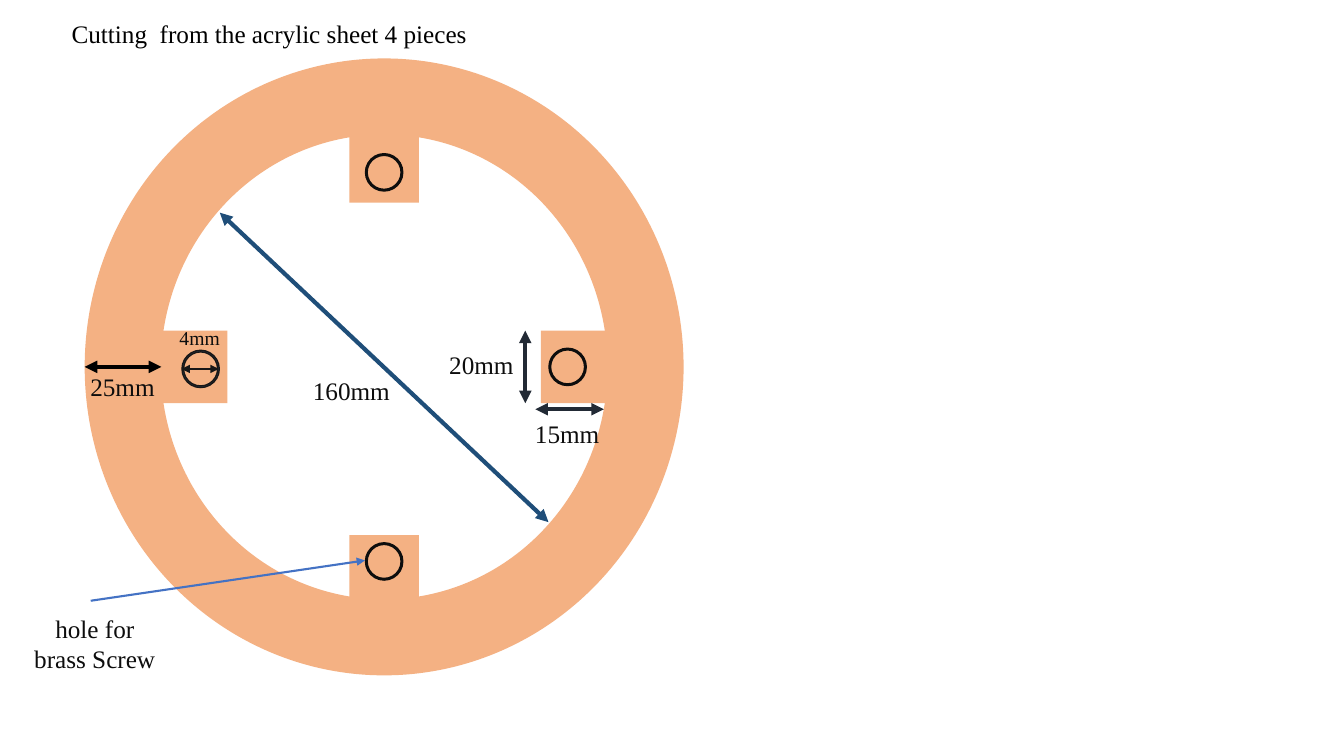
from dataclasses import dataclass

from lxml.etree import SubElement
from pptx import Presentation
from pptx.dml.color import RGBColor
from pptx.enum.shapes import MSO_CONNECTOR, MSO_SHAPE
from pptx.enum.text import MSO_ANCHOR, MSO_AUTO_SIZE, PP_ALIGN
from pptx.oxml.ns import qn
from pptx.util import Inches, Pt


@dataclass(frozen=True)
class Theme:
    """Colours, font and type sizes of the slide."""
    font: str = "Times New Roman"
    size: int = 18
    small: int = 14
    sheet: str = "F4B183"
    text: str = "0D0D0D"
    black: str = "000000"
    hole: str = "0D0D0D"
    rim: str = "181717"
    rim_fill: str = "333F50"
    diameter: str = "1F4E79"
    tab_size: str = "222A35"
    leader: str = "4472C4"


T = Theme()

TITLE = "Cutting  from the acrylic sheet 4 pieces"
TITLE_BOX = (0.61, 0.13, 4.26, 0.4)

# Ring and its parts; offsets are measured from the ring centre
CENTRE = (3.81, 3.64)
RING_SIZE, RING_BAND = (5.94, 6.12), 0.127
TAB_SIZE = (0.69, 0.72)
TAB_OFFSETS = [(0, -1.99), (0, 2.03), (-1.9, 0), (1.9, 0)]
HOLE_SIZE, HOLE_BAND = (0.37, 0.37), 0.044
HOLES = [  # offset, fill, outline
    ((-1.82, 0.02), T.rim_fill, T.rim),
    ((1.82, 0), T.hole, T.hole),
    ((0, 1.93), T.hole, T.hole),
    ((0, -1.93), T.hole, T.hole),
]

BOTH, END = ("headEnd", "tailEnd"), ("tailEnd",)
ARROWS = [  # start, end, colour, width, arrowheads
    ((0.84, 3.64), (1.6, 3.64), T.black, 3, BOTH),
    ((2.18, 2.11), (5.44, 5.18), T.diameter, 3, BOTH),
    ((5.31, 4.06), (5.99, 4.06), T.tab_size, 3, BOTH),
    ((5.21, 4), (5.21, 3.28), T.tab_size, 3, BOTH),
    ((1.8, 3.66), (2.17, 3.66), T.rim, 1.5, BOTH),
    ((0.9, 5.96), (3.62, 5.56), T.leader, 1.5, END),
]

LABELS = [  # text, box, type size
    ("25mm", (0.58, 3.66, 1.27, 0.34), T.size),
    ("15mm", (4.99, 4.13, 1.27, 0.34), T.size),
    ("160mm", (2.93, 3.47, 1.11, 0.8), T.size),
    ("4mm", (1.62, 3.19, 0.72, 0.31), T.small),
    ("20mm", (4.35, 3.42, 0.85, 0.4), T.size),
    ("hole for brass Screw", (0.23, 6, 1.42, 0.76), T.size),
]


def rgb(colour):
    """Turn a hex string into a colour."""
    return RGBColor.from_string(colour)


def add_part(s, kind, offset, size, fill, outline=None, band=None):
    """Add a shape centred at an offset from the ring centre."""
    left, top = (c + o - d / 2 for c, o, d in zip(CENTRE, offset, size))
    sp = s.shapes.add_shape(kind, *map(Inches, (left, top, *size)))
    sp.shadow.inherit = False
    sp.fill.solid()
    sp.fill.fore_color.rgb = rgb(fill)
    if band:
        sp.adjustments[0] = band
    if outline:
        sp.line.color.rgb = rgb(outline)
        sp.line.width = Pt(1)
    else:
        sp.line.fill.background()


def add_arrow(s, start, end, colour, width, heads):
    """Add a straight line with triangle heads."""
    cx = s.shapes.add_connector(MSO_CONNECTOR.STRAIGHT, *map(Inches, start + end))
    cx.line.color.rgb = rgb(colour)
    cx.line.width = Pt(width)
    for head in heads:
        SubElement(cx.line._get_or_add_ln(), qn(f"a:{head}"), type="triangle")
    SubElement(cx._element.spPr, qn("a:effectLst"))


def set_text(sp, text, size, colour, align, wrap=True):
    """Fill a text shape with one formatted paragraph."""
    tf = sp.text_frame
    tf.text = text
    tf.word_wrap = wrap
    tf.auto_size = MSO_AUTO_SIZE.NONE
    tf.vertical_anchor = MSO_ANCHOR.MIDDLE
    p = tf.paragraphs[0]
    p.alignment = align
    p.font.name = T.font
    p.font.size = Pt(size)
    p.font.color.rgb = rgb(colour)


def add_title(s):
    """Place and format the title placeholder."""
    sp = s.shapes.title
    sp.left, sp.top, sp.width, sp.height = map(Inches, TITLE_BOX)
    set_text(sp, TITLE, T.size, T.black, PP_ALIGN.LEFT, wrap=False)


def main():
    """Build and save the slide."""
    prs = Presentation()
    prs.slide_width, prs.slide_height = Inches(13.33), Inches(7.5)
    s = prs.slides.add_slide(prs.slide_layouts[5])
    add_title(s)
    add_part(s, MSO_SHAPE.DONUT, (0, 0), RING_SIZE, T.sheet, band=RING_BAND)
    for offset in TAB_OFFSETS:
        add_part(s, MSO_SHAPE.RECTANGLE, offset, TAB_SIZE, T.sheet)
    for offset, fill, outline in HOLES:
        add_part(s, MSO_SHAPE.DONUT, offset, HOLE_SIZE, fill, outline, HOLE_BAND)
    for arrow in ARROWS:
        add_arrow(s, *arrow)
    for text, box, size in LABELS:
        sp = s.shapes.add_textbox(*map(Inches, box))
        set_text(sp, text, size, T.text, PP_ALIGN.CENTER)
    prs.save("out.pptx")


main()
